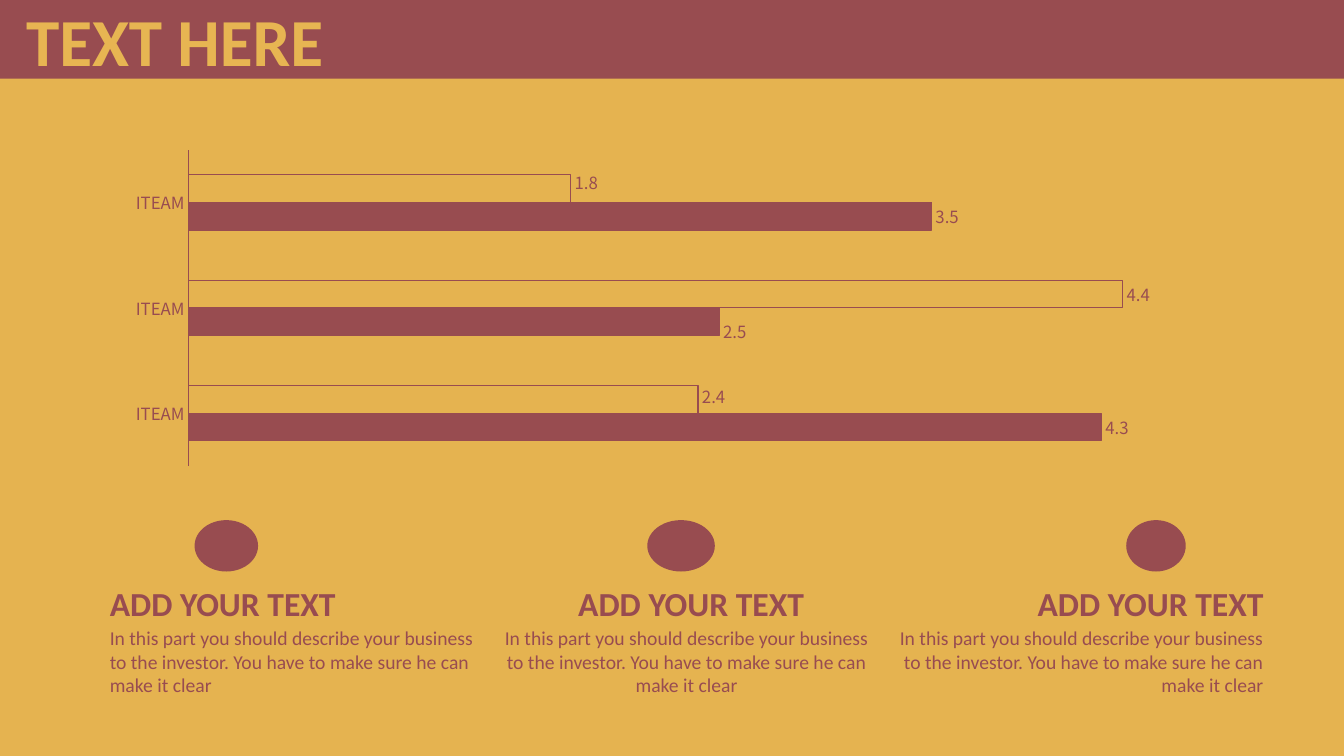
import pptx
import pptx.chart.data
import pptx.dml.color
import pptx.enum.chart
import pptx.enum.shapes
import pptx.enum.text
import pptx.oxml
import pptx.oxml.ns
import pptx.util
from pptx.util import Inches

GOLD = "E5B350"
TITLE_GOLD = "E7B552"
WINE = "984C50"
TEXT_FONT = "Calibri"
CHART_FONT = "Noto Sans CJK SC"
ALIGN = pptx.enum.text.PP_ALIGN
SHAPES = pptx.enum.shapes.MSO_SHAPE
LABEL_POSITION = pptx.enum.chart.XL_LABEL_POSITION.OUTSIDE_END

BODY = ("In this part you should describe your business to the investor. "
        "You have to make sure he can make it clear")


def rgb(value):
    return pptx.dml.color.RGBColor.from_string(value)


def style_font(font, name, size, color, bold=False):
    font.name = name
    font.size = pptx.util.Pt(size)
    font.bold = bold
    font.color.rgb = rgb(color)


def add_filled(slide, kind, left, top, width, height):
    shape = slide.shapes.add_shape(
        kind, Inches(left), Inches(top), Inches(width), Inches(height))
    shape.shadow.inherit = False
    shape.fill.solid()
    shape.fill.fore_color.rgb = rgb(WINE)
    shape.line.fill.background()


def add_text(slide, text, left, top, width, height, size, color=WINE,
             bold=False, align=ALIGN.LEFT):
    frame = slide.shapes.add_textbox(
        Inches(left), Inches(top), Inches(width), Inches(height)).text_frame
    frame.word_wrap = True
    frame.auto_size = pptx.enum.text.MSO_AUTO_SIZE.SHAPE_TO_FIT_TEXT
    frame.text = text
    paragraph = frame.paragraphs[0]
    paragraph.alignment = align
    style_font(paragraph.runs[0].font, TEXT_FONT, size, color, bold)


def manual_layout(inner=False, **fractions):
    """Build a c:layout; fractions are shares of the chart's size."""
    parts = '<c:layoutTarget val="inner"/>' if inner else ""
    if inner:
        parts += '<c:xMode val="edge"/><c:yMode val="edge"/>'
    parts += "".join(f'<c:{key} val="{value}"/>' for key, value in fractions.items())
    return pptx.oxml.parse_xml(
        f'<c:layout {pptx.oxml.ns.nsdecls("c")}>'
        f"<c:manualLayout>{parts}</c:manualLayout></c:layout>")


def add_title_band(slide, left, top, width, height):
    add_filled(slide, SHAPES.RECTANGLE, left, top, width, height)
    add_text(slide, "TEXT HERE", left + 0.16, top - 0.06, 4.41, 0.91, 48,
             TITLE_GOLD, bold=True)


def add_item_chart(slide, left, top, width, height):
    items = pptx.chart.data.CategoryChartData()
    items.categories = ["ITEAM"] * 3
    items.add_series("Series 1", (4.3, 2.5, 3.5))
    items.add_series("Series 2", (2.4, 4.4, 1.8))
    chart = slide.shapes.add_chart(
        pptx.enum.chart.XL_CHART_TYPE.BAR_CLUSTERED, Inches(left), Inches(top),
        Inches(width), Inches(height), items).chart
    chart.has_title = False
    chart.has_legend = False
    style_font(chart.font, CHART_FONT, 12, WINE)

    # Axes
    item_axis = chart.category_axis
    item_axis.major_tick_mark = pptx.enum.chart.XL_TICK_MARK.NONE
    item_axis.format.line.color.rgb = rgb(WINE)
    item_axis.format.line.width = pptx.util.Pt(0.75)
    style_font(item_axis.tick_labels.font, CHART_FONT, 12, WINE)
    value_axis = chart.value_axis
    value_axis.minimum_scale, value_axis.maximum_scale = 0, 5
    value_axis.has_major_gridlines = False
    value_axis.visible = False

    # Bars and their labels
    plot = chart.plots[0]
    plot.gap_width = 182
    plot.overlap = 0
    plot.vary_by_categories = False
    filled, outlined = plot.series
    filled.format.fill.solid()
    filled.format.fill.fore_color.rgb = rgb(WINE)
    outlined.format.fill.background()
    for bars in (filled, outlined):
        bars.invert_if_negative = False
        bars.format.line.color.rgb = rgb(WINE)
        bars.format.line.width = pptx.util.Pt(0.75)
        bars.data_labels.show_value = True
        bars.data_labels.position = LABEL_POSITION
        style_font(bars.data_labels.font, CHART_FONT, 12, WINE)

    # Labels nudged off the middle of their bars
    shifts = [(filled, 1, 0, 0.03), (outlined, 0, 0, -0.01),
              (outlined, 2, 0, -0.02)]
    for bars, index, _, _ in shifts:
        label = bars.points[index].data_label
        label.position = LABEL_POSITION
        style_font(label.font, CHART_FONT, 12, WINE)
    for label, (_, _, x, y) in zip(chart.element.xpath(".//c:dLbl"), shifts):
        label.insert(1, manual_layout(x=x, y=y))

    # Plot area
    plot_area = chart.element.xpath(".//c:plotArea")[0]
    for layout in plot_area.xpath("./c:layout"):
        plot_area.remove(layout)
    plot_area.insert(0, manual_layout(inner=True, x=0.07, y=0.02, w=0.91, h=0.96))


def add_column(slide, left, top, heading_width, align, icon_offset, icon_width):
    add_filled(slide, SHAPES.OVAL, left + icon_offset, top, icon_width, 0.51)
    add_text(slide, "ADD YOUR TEXT", left, top + 0.57, heading_width, 0.5, 24,
             bold=True, align=align)
    add_text(slide, BODY, left, top + 1, 3.82, 0.81, 14, align=align)


def main():
    deck = pptx.Presentation()
    deck.slide_width, deck.slide_height = Inches(13.33), Inches(7.5)
    slide = deck.slides.add_slide(deck.slide_layouts[6])
    slide.background.fill.solid()
    slide.background.fill.fore_color.rgb = rgb(GOLD)

    add_title_band(slide, 0, 0, 13.33, 0.78)
    add_item_chart(slide, 1.06, 1.42, 11.57, 3.27)
    columns = [(3.91, ALIGN.LEFT, 0.94, 0.63),
               (3.91, ALIGN.CENTER, 1.52, 0.67),
               (3.82, ALIGN.RIGHT, 2.36, 0.59)]
    for number, column in enumerate(columns):
        add_column(slide, 0.99 + 3.91 * number, 5.16, *column)
    deck.save("out.pptx")


if __name__ == "__main__":
    main()
